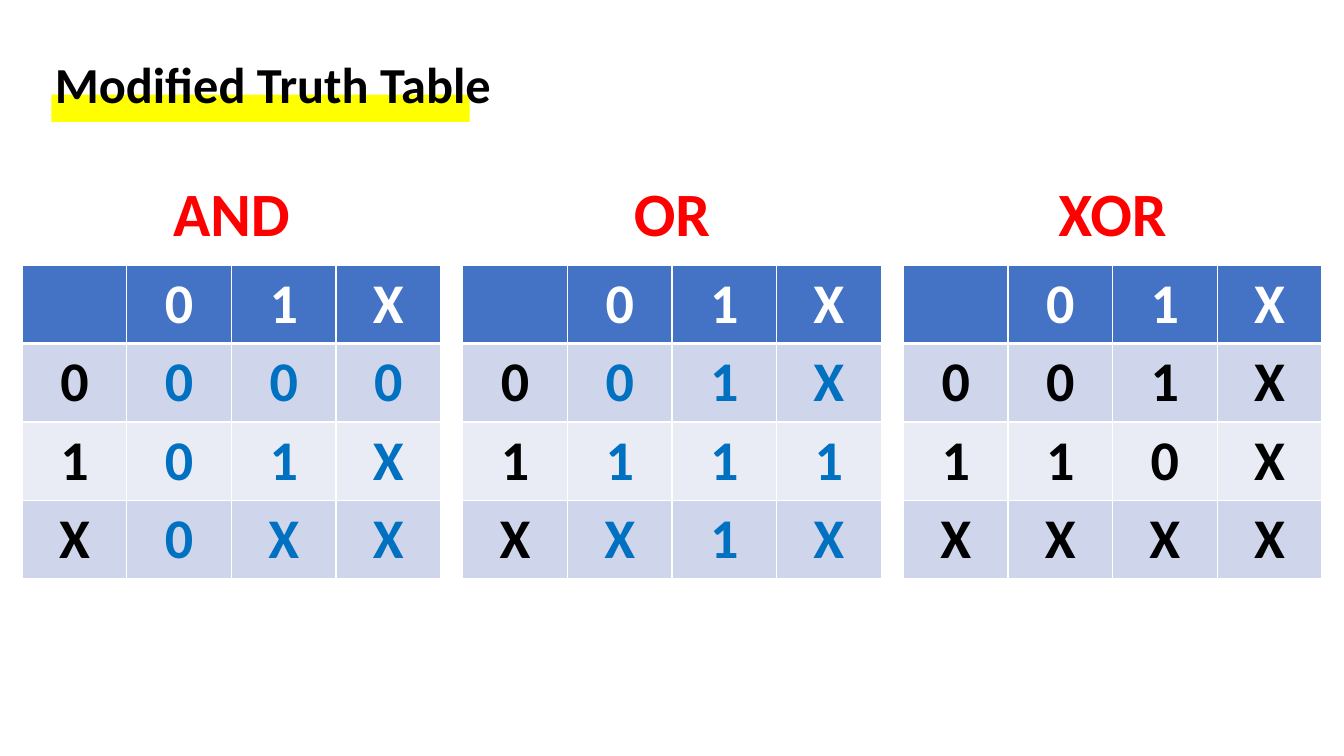
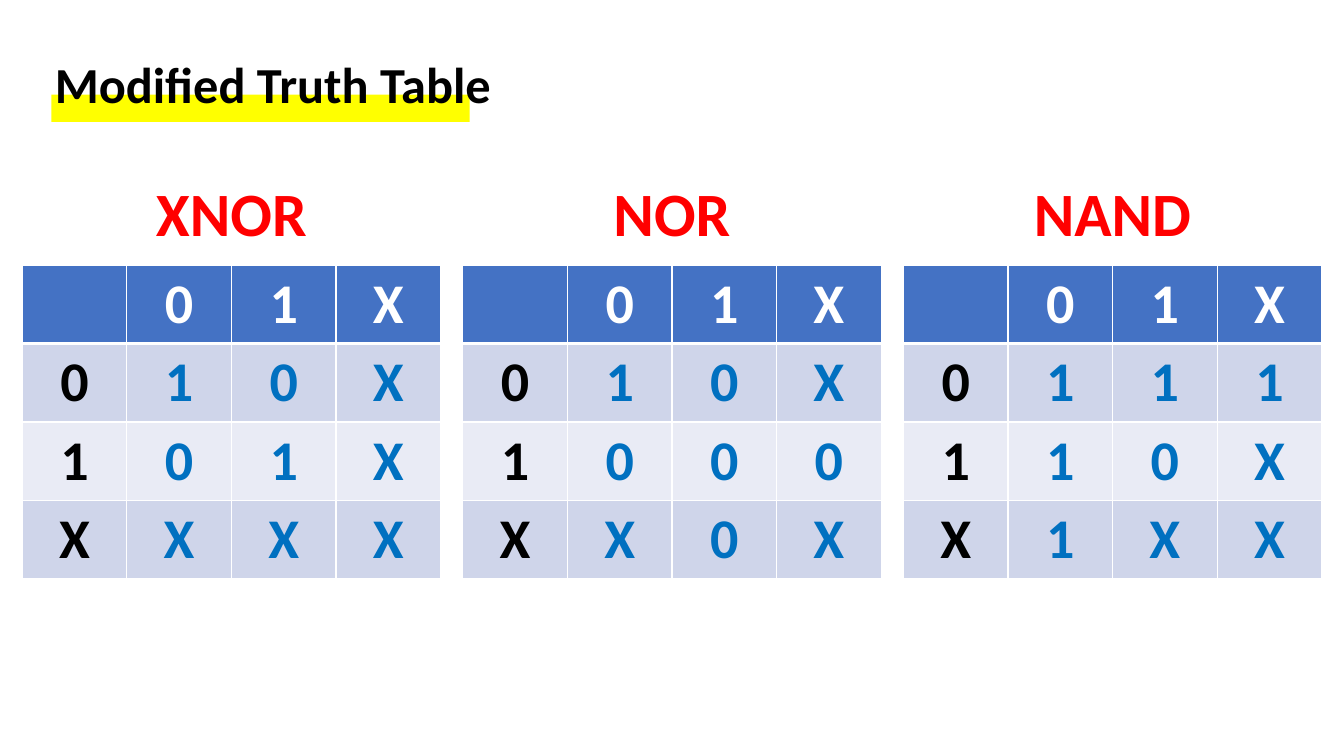
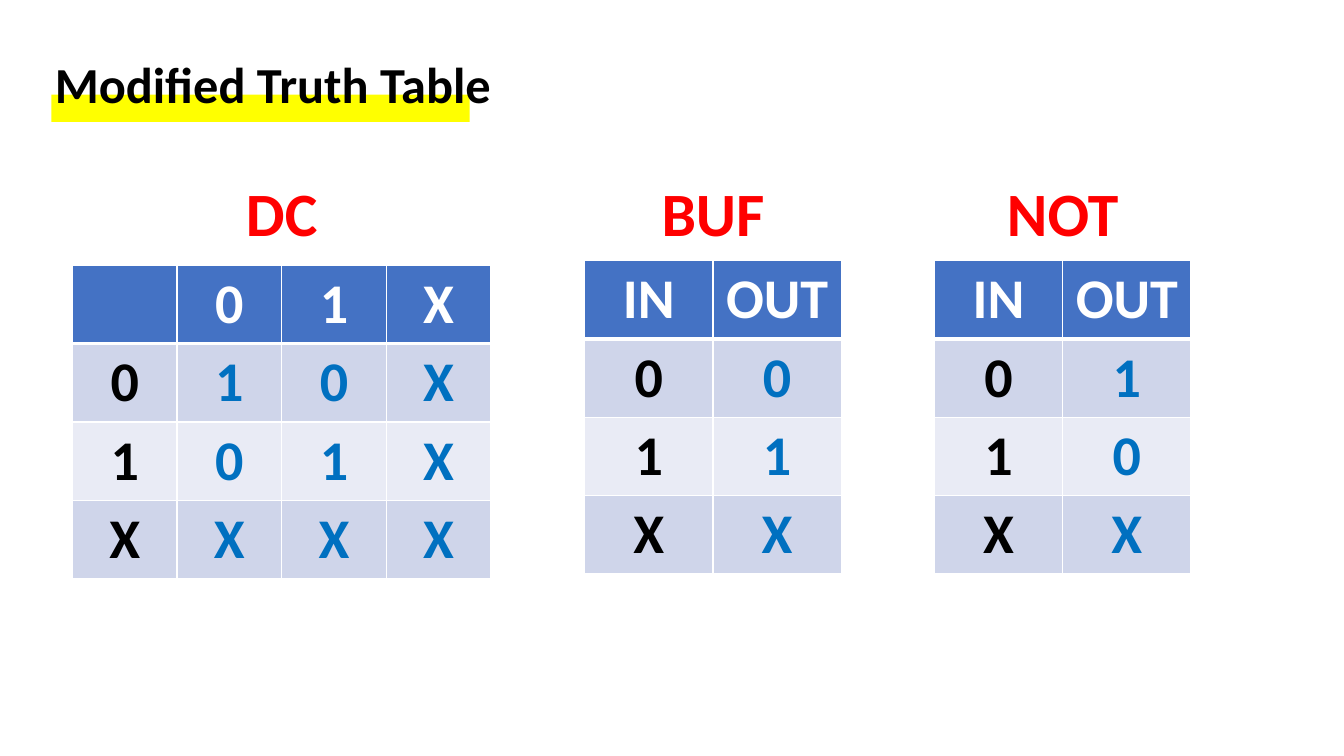
from dataclasses import dataclass

from lxml.etree import SubElement
from pptx import Presentation
from pptx.dml.color import RGBColor
from pptx.enum.shapes import MSO_SHAPE
from pptx.enum.text import MSO_ANCHOR, MSO_AUTO_SIZE, PP_ALIGN
from pptx.oxml.ns import qn
from pptx.util import Pt


@dataclass(frozen=True)
class Theme:
    font: str = "Calibri"
    title_size: int = 36
    heading_size: int = 44
    cell_size: int = 40
    black: str = "000000"
    white: str = "FFFFFF"
    highlight: str = "FFFF00"
    heading: str = "FF0000"
    result: str = "0070C0"
    header_fill: str = "4472C4"
    odd_row: str = "CFD5EA"
    even_row: str = "E9EBF5"


theme = Theme()

SLIDE_WIDTH, SLIDE_HEIGHT = 960, 540
ROW_HEIGHT = 56
GATE_COLUMN, UNARY_COLUMN = 74.7, 91.7
GATE_TOP, UNARY_TOP = 189.4, 186
HEADING_TOP, HEADING_WIDTH, HEADING_HEIGHT = 126.7, 216.7, 49
GATE_WIDTH = 4 * GATE_COLUMN
GAP = (SLIDE_WIDTH - 3 * GATE_WIDTH) / 4
GATE_LEFTS = [GAP + index * (GATE_WIDTH + GAP) for index in range(3)]
INPUTS = ["0", "1", "X"]

# Each table: name, left edge, one string of outputs per input row, output colour.
SLIDES = [
    [
        ("AND", GATE_LEFTS[0], ["000", "01X", "0XX"], theme.result),
        ("OR", GATE_LEFTS[1], ["01X", "111", "X1X"], theme.result),
        ("XOR", GATE_LEFTS[2], ["01X", "10X", "XXX"], theme.black),
    ],
    [
        ("XNOR", GATE_LEFTS[0], ["10X", "01X", "XXX"], theme.result),
        ("NOR", GATE_LEFTS[1], ["10X", "000", "X0X"], theme.result),
        ("NAND", GATE_LEFTS[2], ["111", "10X", "1XX"], theme.result),
    ],
    [
        ("DC", 51.8, ["10X", "01X", "XXX"], theme.result),
        ("BUF", 417.6, ["0", "1", "X"], theme.result),
        ("NOT", 667.4, ["1", "0", "X"], theme.result),
    ],
]


def write_text(text_frame, text, size, color, alignment=PP_ALIGN.CENTER):
    text_frame.text = text
    paragraph = text_frame.paragraphs[0]
    paragraph.alignment = alignment
    for run in paragraph.runs:
        run.font.name = theme.font
        run.font.size = Pt(size)
        run.font.bold = True
        run.font.color.rgb = RGBColor.from_string(color)


def style_cell(cell, fill, top_width, bottom_width):
    """Draw white borders, then fill: the schema wants that order."""
    properties = cell._tc.get_or_add_tcPr()
    widths = {"a:lnL": 1, "a:lnR": 1, "a:lnT": top_width, "a:lnB": bottom_width}
    for tag, width in widths.items():
        line = SubElement(properties, qn(tag), w=str(Pt(width)))
        line_fill = SubElement(line, qn("a:solidFill"))
        SubElement(line_fill, qn("a:srgbClr"), val=theme.white)
    cell.fill.solid()
    cell.fill.fore_color.rgb = RGBColor.from_string(fill)


presentation = Presentation()
presentation.slide_width = Pt(SLIDE_WIDTH)
presentation.slide_height = Pt(SLIDE_HEIGHT)
title_only = presentation.slide_layouts[5]

for gates in SLIDES:
    slide = presentation.slides.add_slide(title_only)

    title = slide.shapes.title
    title.left, title.top, title.width, title.height = Pt(23.8), Pt(24.5), Pt(440.6), Pt(75)
    title.text_frame.margin_left = Pt(15.3)
    title.text_frame.vertical_anchor = MSO_ANCHOR.MIDDLE
    title.text_frame.auto_size = MSO_AUTO_SIZE.NONE
    write_text(title.text_frame, "Modified Truth Table", theme.title_size, theme.black, PP_ALIGN.LEFT)
    title.text_frame.paragraphs[0].line_spacing = 0.9

    highlight = slide.shapes.add_shape(MSO_SHAPE.RECTANGLE, Pt(36.7), Pt(67.7), Pt(298.8), Pt(19.4))
    highlight.shadow.inherit = False
    highlight.fill.solid()
    highlight.fill.fore_color.rgb = RGBColor.from_string(theme.highlight)
    highlight.line.fill.background()
    title._element.addprevious(highlight._element)

    for name, left, outputs, output_color in gates:
        unary = len(outputs[0]) == 1
        column_width = UNARY_COLUMN if unary else GATE_COLUMN
        top = UNARY_TOP if unary else GATE_TOP
        header = ["IN", "OUT"] if unary else ["", *INPUTS]
        rows = [header] + [[value, *results] for value, results in zip(INPUTS, outputs)]
        width = column_width * len(header)

        heading = slide.shapes.add_textbox(
            Pt(left + (width - HEADING_WIDTH) / 2), Pt(HEADING_TOP), Pt(HEADING_WIDTH), Pt(HEADING_HEIGHT)
        )
        heading.text_frame.word_wrap = True
        heading.text_frame.vertical_anchor = MSO_ANCHOR.MIDDLE
        write_text(heading.text_frame, name, theme.heading_size, theme.heading)

        table = slide.shapes.add_table(
            len(rows), len(header), Pt(left), Pt(top), Pt(width), Pt(ROW_HEIGHT * len(rows))
        ).table
        for row_index, row in enumerate(rows):
            if row_index == 0:
                fill = theme.header_fill
            else:
                fill = theme.odd_row if row_index % 2 else theme.even_row
            for column_index, text in enumerate(row):
                cell = table.cell(row_index, column_index)
                style_cell(cell, fill, 3 if row_index == 1 else 1, 3 if row_index == 0 else 1)
                if row_index == 0:
                    color = theme.white
                else:
                    color = output_color if column_index else theme.black
                write_text(cell.text_frame, text, theme.cell_size, color)

presentation.save("out.pptx")
